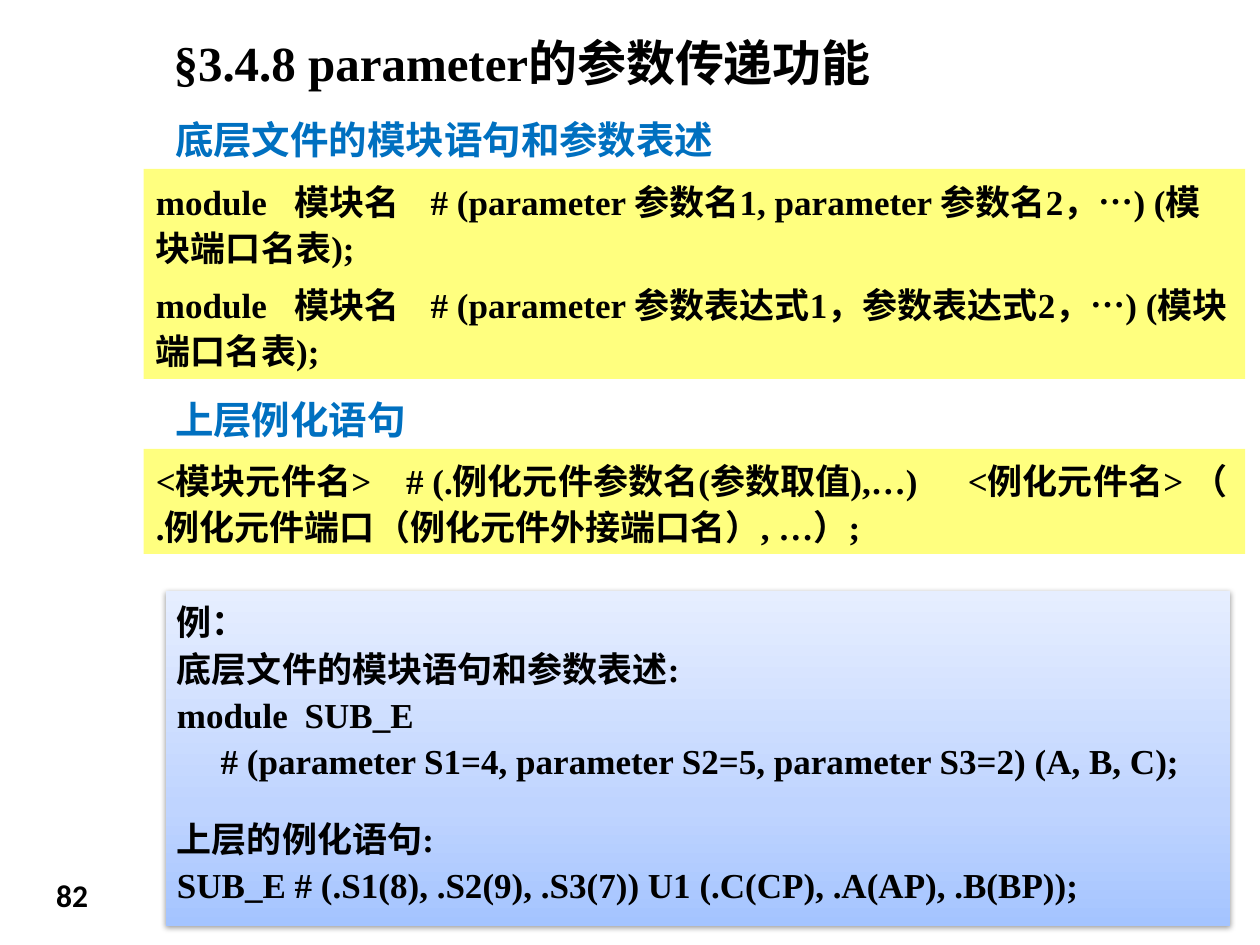
from copy import deepcopy
from dataclasses import dataclass

from lxml.etree import SubElement
from pptx import Presentation
from pptx.dml.color import RGBColor
from pptx.enum.shapes import MSO_SHAPE
from pptx.enum.text import MSO_ANCHOR, MSO_AUTO_SIZE, PP_ALIGN
from pptx.oxml.ns import qn
from pptx.util import Pt


@dataclass(frozen=True)
class Theme:
    """Colours, fonts and type sizes of the slide."""
    ink: str = "000000"
    heading: str = "0070C0"
    syntax: str = "FFFF00"
    panel: tuple = ((0, "A4C4FF"), (35, "BFD4FF"), (100, "E6EEFF"))
    serif: str = "Times New Roman"
    sans: str = "Calibri"
    title_size: int = 28
    heading_size: int = 22
    body_size: int = 20
    number_size: int = 18


THEME = Theme()


def set_tabs(p, stops):
    """Give a paragraph left tab stops at the given points."""
    tabs = SubElement(p._p.get_or_add_pPr(), qn("a:tabLst"))
    for stop in stops:
        SubElement(tabs, qn("a:tab"), pos=str(Pt(stop)), algn="l")


def write(sp, lines, size, color=THEME.ink, font=THEME.serif, anchor=MSO_ANCHOR.TOP,
          spacing=None, after=0, tabs=()):
    """Fill a shape with one bold left-aligned paragraph per line."""
    tf = sp.text_frame
    tf.word_wrap = True
    tf.auto_size = MSO_AUTO_SIZE.NONE
    tf.vertical_anchor = anchor
    tf.text = "\n".join(lines)
    for p in tf.paragraphs:
        if tabs:
            set_tabs(p, tabs)
        p.alignment = PP_ALIGN.LEFT
        p.line_spacing = spacing
        p.space_after = Pt(after)
        p.font.name = font
        p.font.size = Pt(size)
        p.font.bold = True
        p.font.color.rgb = RGBColor.from_string(color)
    return tf


def add_box(s, box):
    """Add a rectangle without line or shadow."""
    sp = s.shapes.add_shape(MSO_SHAPE.RECTANGLE, *map(Pt, box))
    sp.shadow.inherit = False
    sp.line.fill.background()
    return sp


def add_title(s, box, text):
    """Move the title placeholder and set its text."""
    title = s.shapes.title
    title.left, title.top, title.width, title.height = map(Pt, box)
    write(title, [text], THEME.title_size)


def add_syntax(s, box, heading, lines, tabs):
    """Add a blue heading over a pale yellow box of syntax lines."""
    left, top, width, height = box
    head_height = 34
    sp = add_box(s, (left, top + head_height, width, height - head_height))
    sp.fill.solid()
    sp.fill.fore_color.rgb = RGBColor.from_string(THEME.syntax)
    color = sp._element.spPr.find(qn("a:solidFill"))[0]
    SubElement(color, qn("a:alpha"), val="50000")
    write(sp, lines, THEME.body_size, anchor=MSO_ANCHOR.MIDDLE,
          spacing=1.1, after=6, tabs=tabs)
    label = s.shapes.add_textbox(Pt(left + 11), Pt(top), Pt(602), Pt(head_height))
    write(label, [heading], THEME.heading_size, THEME.heading, anchor=MSO_ANCHOR.MIDDLE)


def add_panel(s, box):
    """Add a rectangle with an upward gradient and a soft shadow."""
    sp = add_box(s, box)
    sp.fill.gradient()
    sp.fill.gradient_angle = 90
    stops = sp._element.spPr.find(qn("a:gradFill")).find(qn("a:gsLst"))
    stops.append(deepcopy(stops[0]))
    for stop, (position, color) in zip(sp.fill.gradient_stops, THEME.panel):
        stop.position = position / 100
        stop.color.rgb = RGBColor.from_string(color)
    effects = sp._element.spPr.find(qn("a:effectLst"))
    shadow = SubElement(effects, qn("a:outerShdw"), blurRad=str(Pt(3.1)),
                        dist=str(Pt(1.6)), dir="5400000", rotWithShape="0")
    color = SubElement(shadow, qn("a:srgbClr"), val=THEME.ink)
    SubElement(color, qn("a:alpha"), val="38000")


def add_example(s, box, lines, gap_after):
    """Add the example panel with its code, and a gap after one line."""
    left, top, width, height = box
    add_panel(s, box)
    text = s.shapes.add_textbox(Pt(left - 1), Pt(top), Pt(width), Pt(height - 6))
    tf = write(text, lines, THEME.body_size, spacing=1.1, tabs=(73,))
    tf.paragraphs[gap_after].space_after = Pt(18)


def add_number(s, box, number):
    """Add the page number."""
    write(s.shapes.add_textbox(*map(Pt, box)), [number], THEME.number_size, font=THEME.sans)


def main():
    """Build the slide and save it."""
    prs = Presentation()
    prs.slide_width, prs.slide_height = Pt(720), Pt(540)
    s = prs.slides.add_slide(prs.slide_layouts[5])
    add_title(s, (92, 15, 596, 91), "§3.4.8 parameter的参数传递功能")
    add_syntax(s, (82, 62.5, 629.5, 154), "底层文件的模块语句和参数表述", [
        "module\t模块名\t# (parameter 参数名1, parameter 参数名2，…) (模块端口名表);",
        "module\t模块名\t# (parameter 参数表达式1，参数表达式2，…) (模块端口名表);",
    ], (79, 157))
    add_syntax(s, (82, 222.5, 629.5, 94), "上层例化语句", [
        "<模块元件名>\t# (.例化元件参数名(参数取值),…)\t<例化元件名> "
        "（ .例化元件端口（例化元件外接端口名）, …）;",
    ], (143, 464))
    add_example(s, (95, 337.5, 608, 191.5), [
        "例：",
        "底层文件的模块语句和参数表述:",
        "module\tSUB_E",
        "     # (parameter S1=4, parameter S2=5, parameter S3=2) (A, B, C);",
        "上层的例化语句:",
        "SUB_E # (.S1(8), .S2(9), .S3(7)) U1 (.C(CP), .A(AP), .B(BP));",
    ], 3)
    add_number(s, (25, 497, 45, 32), "82")
    prs.save("out.pptx")


if __name__ == "__main__":
    main()
